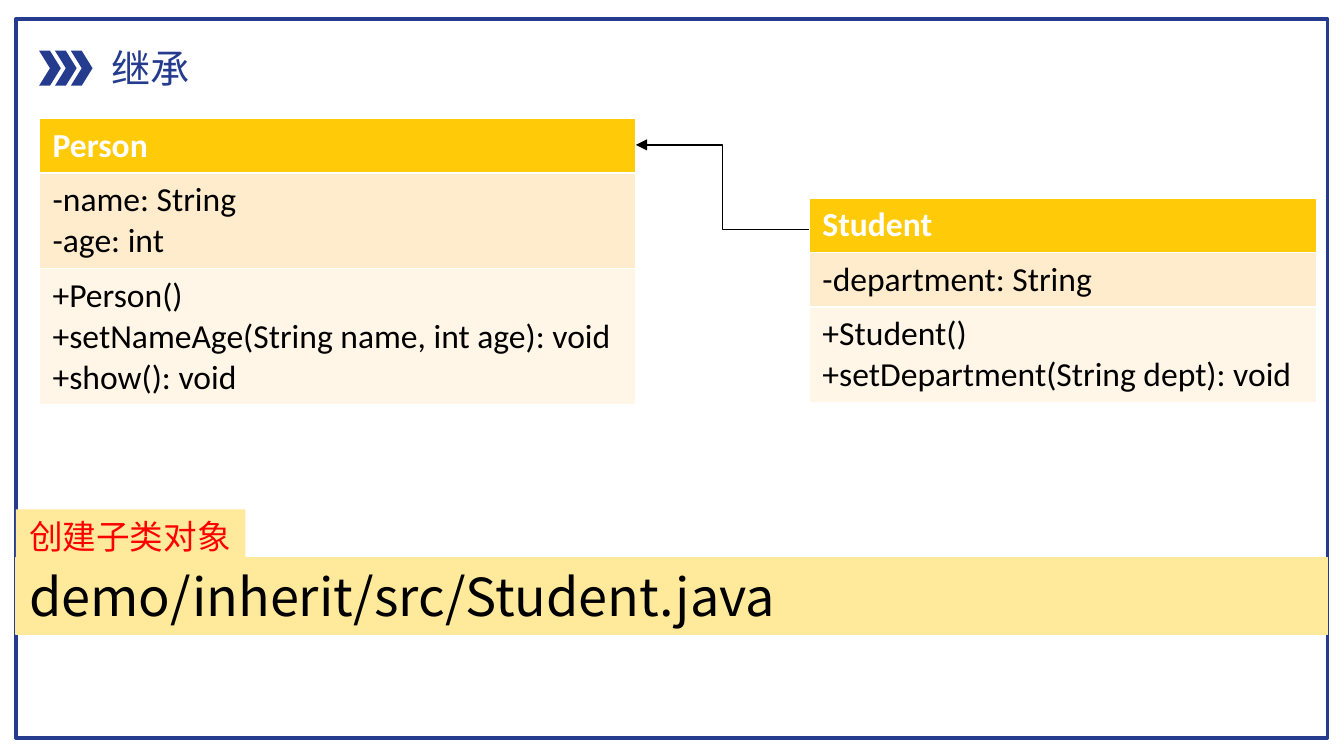
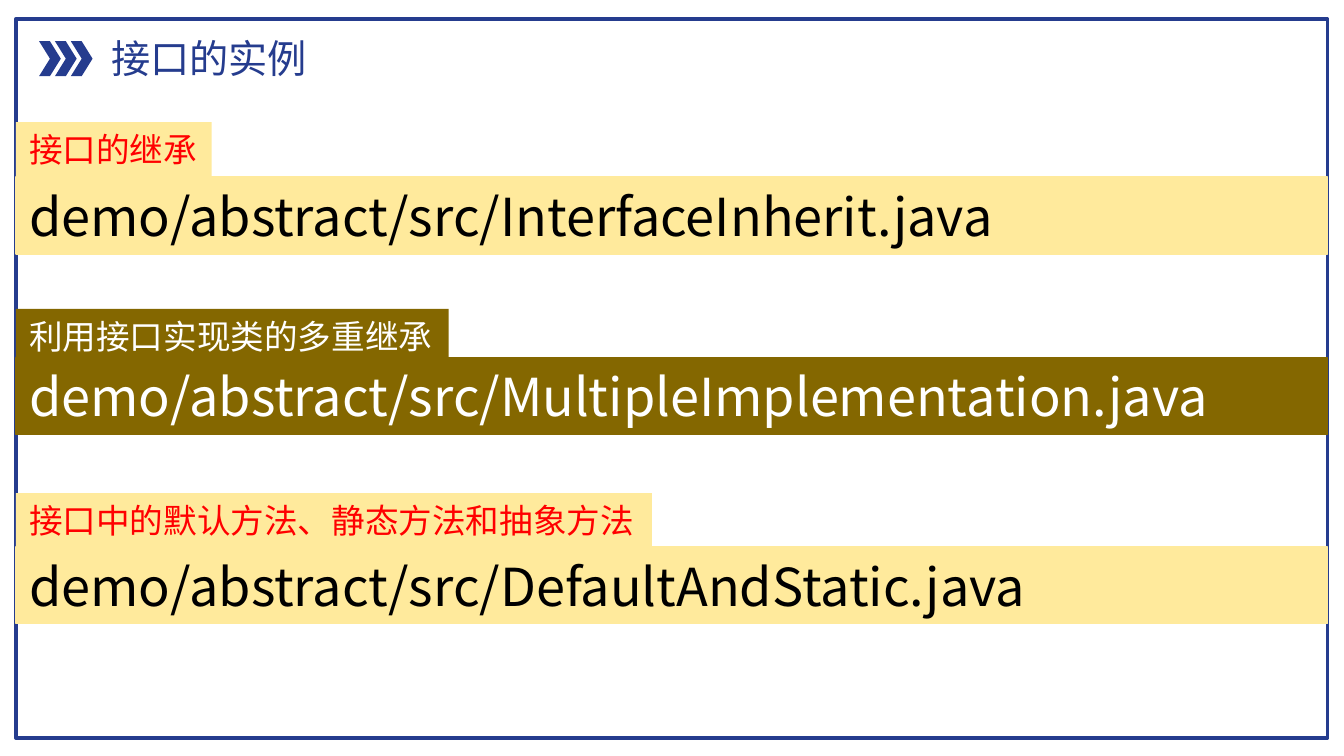
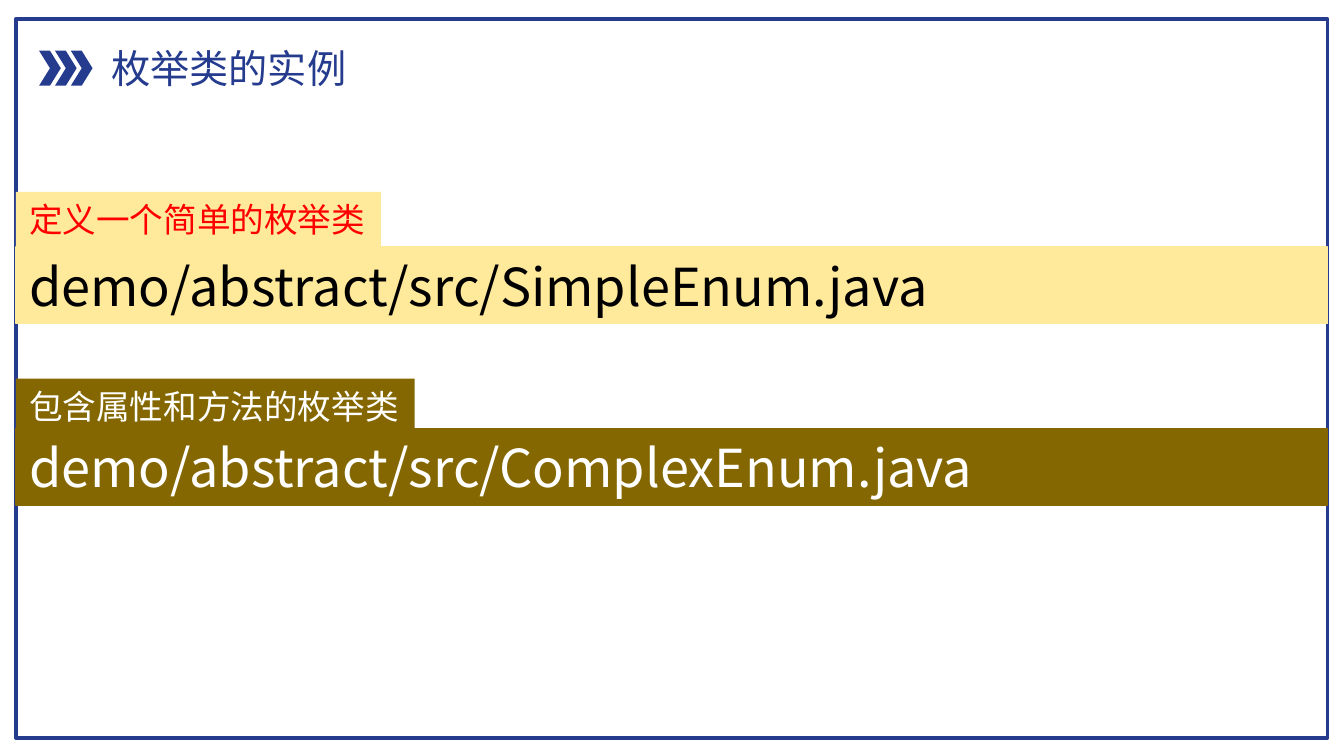
from lxml.etree import SubElement
from pptx import Presentation
from pptx.dml.color import RGBColor
from pptx.enum.shapes import MSO_CONNECTOR, MSO_SHAPE
from pptx.enum.text import MSO_ANCHOR, MSO_AUTO_SIZE, PP_ALIGN
from pptx.oxml.ns import qn
from pptx.util import Cm, Pt

HUES = {
    "navy": "253C8E", "gold": "FFCA08", "peach": "FFECCC", "cream": "FFF6E7",
    "sand": "FFEA9C", "olive": "846700", "red": "FF0000",
    "black": "000000", "white": "FFFFFF",
}
INK = {name: RGBColor.from_string(code) for name, code in HUES.items()}
HAN = "Noto Sans CJK SC"
MONO = "DejaVu Sans Mono"

FONTS = {
    "title": {"size": Pt(21), "name": HAN},
    "file": {"size": Pt(28), "name": HAN},
    "head": {"size": Pt(18), "name": "Calibri", "bold": True},
    "cell": {"size": Pt(18), "name": "Calibri", "bold": False},
}
FRAME = {
    "vertical_anchor": MSO_ANCHOR.MIDDLE, "auto_size": MSO_AUTO_SIZE.NONE,
    "margin_left": Cm(0.25), "margin_right": Cm(0.25),
    "margin_top": 0, "margin_bottom": 0,
}
EDGE, WIDE = 0.3, 24.79

# band theme: (fill, tag ink, file ink)
THEMES = {"light": ("sand", "red", "black"), "dark": ("olive", "white", "white")}

# title, title top, tag font, bands of (theme, tag top, tag, file top, file)
SLIDES = [
    ("继承", 0.71, "Calibri", [
        ("light", 9.63, "创建子类对象", 10.54, "demo/inherit/src/Student.java"),
    ]),
    ("接口的实例", 0.53, MONO, [
        ("light", 2.31, "接口的继承", 3.35, "demo/abstract/src/InterfaceInherit.java"),
        ("dark", 5.84, "利用接口实现类的多重继承", 6.76,
         "demo/abstract/src/MultipleImplementation.java"),
        ("light", 9.32, "接口中的默认方法、静态方法和抽象方法", 10.34,
         "demo/abstract/src/DefaultAndStatic.java"),
    ]),
    ("枚举类的实例", 0.71, MONO, [
        ("light", 3.63, "定义一个简单的枚举类", 4.67, "demo/abstract/src/SimpleEnum.java"),
        ("dark", 7.16, "包含属性和方法的枚举类", 8.1, "demo/abstract/src/ComplexEnum.java"),
    ]),
]

# left, top, width, rows of text
CLASSES = [
    (0.74, 2.24, 11.28, [
        "Person",
        "-name: String\n-age: int",
        "+Person()\n+setNameAge(String name, int age): void\n+show(): void",
    ]),
    (15.29, 3.74, 9.6, [
        "Student",
        "-department: String",
        "+Student()\n+setDepartment(String dept): void",
    ]),
]
ROWS = [("gold", "head", "white"), ("peach", "cell", "black"), ("cream", "cell", "black")]


def write(frame, text, style, ink):
    frame.text = text
    for para in frame.paragraphs:
        para.alignment = PP_ALIGN.LEFT
        for run in para.runs:
            for key, value in style.items():
                setattr(run.font, key, value)
            run.font.color.rgb = INK[ink]
            SubElement(run.font._element, qn("a:ea"), typeface=HAN)


def draw(slide, kind, box, fill=None, line=None, width=0.75):
    shape = slide.shapes.add_shape(kind, *map(Cm, box))
    shape.shadow.inherit = False
    if fill:
        shape.fill.solid()
        shape.fill.fore_color.rgb = INK[fill]
    else:
        shape.fill.background()
    if line:
        shape.line.color.rgb = INK[line]
        shape.line.width = Pt(width)
    else:
        shape.line.fill.background()
    return shape


deck = Presentation()
deck.slide_width, deck.slide_height = Cm(25.4), Cm(14.29)

for name, top, face, bands in SLIDES:
    slide = deck.slides.add_slide(deck.slide_layouts[5])
    draw(slide, MSO_SHAPE.RECTANGLE, (EDGE, 0.36, WIDE, 13.59), line="navy", width=2)
    for step in range(3):
        draw(slide, MSO_SHAPE.CHEVRON, (0.74 + 0.3 * step, top + 0.25, 0.41, 0.66), "navy")

    title = slide.shapes.title
    title.left, title.top = Cm(1.85), Cm(top)
    title.width, title.height = Cm(0.51 + 0.74 * len(name)), Cm(1.14)
    boxes = [(title, name, FONTS["title"], "navy", False)]

    for theme, high, tag, low, file in bands:
        fill, hue, ink = THEMES[theme]
        bar = draw(slide, MSO_SHAPE.RECTANGLE, (EDGE, low, WIDE, 1.45), fill, fill)
        size = (EDGE, high, 0.5 + 0.64 * len(tag), 1.02)
        tab = draw(slide, MSO_SHAPE.RECTANGLE, size, fill)
        boxes.append((bar, file, FONTS["file"], ink, True))
        boxes.append((tab, tag, {"size": Pt(18), "name": face}, hue, False))

    for shape, text, style, ink, wrap in boxes:
        frame = shape.text_frame
        for key, value in FRAME.items():
            setattr(frame, key, value)
        frame.word_wrap = wrap
        write(frame, text, style, ink)

# class diagram on the first slide
slide = deck.slides[0]
for left, top, width, texts in CLASSES:
    box = map(Cm, (left, top, width, 1.03 * len(texts)))
    table = slide.shapes.add_table(len(texts), 1, *box).table
    for row, (text, (fill, style, ink)) in enumerate(zip(texts, ROWS)):
        cell = table.cell(row, 0)
        cell.fill.solid()
        cell.fill.fore_color.rgb = INK[fill]
        write(cell.text_frame, text, FONTS[style], ink)

ends = map(Cm, (15.29, 4.34, 12.02, 2.74))
arrow = slide.shapes.add_connector(MSO_CONNECTOR.ELBOW, *ends)
arrow.line.color.rgb = INK["black"]
arrow.line.width = Pt(0.75)
SubElement(arrow.line._get_or_add_ln(), qn("a:tailEnd"), type="triangle")
SubElement(arrow._element.spPr, qn("a:effectLst"))

deck.save("out.pptx")
